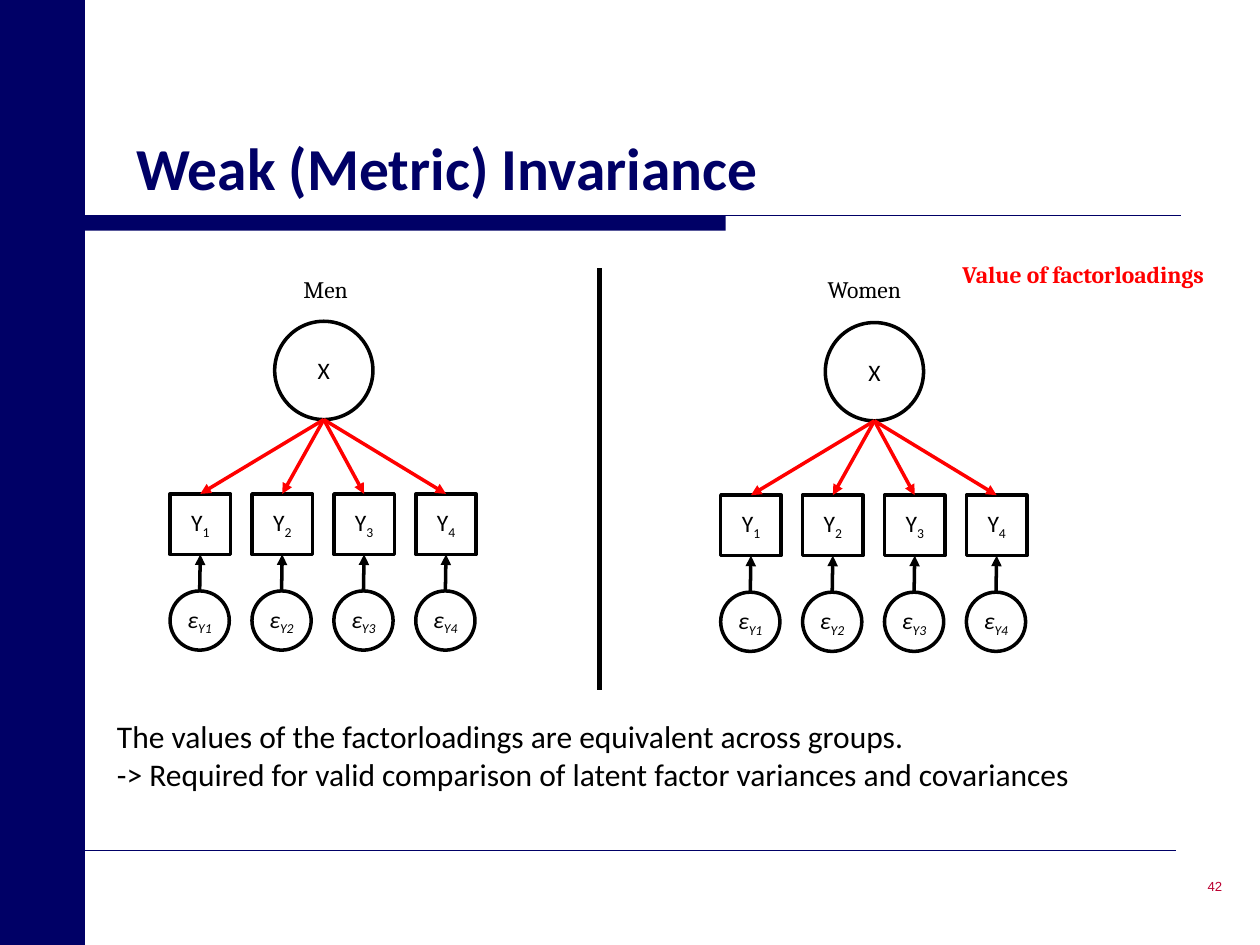
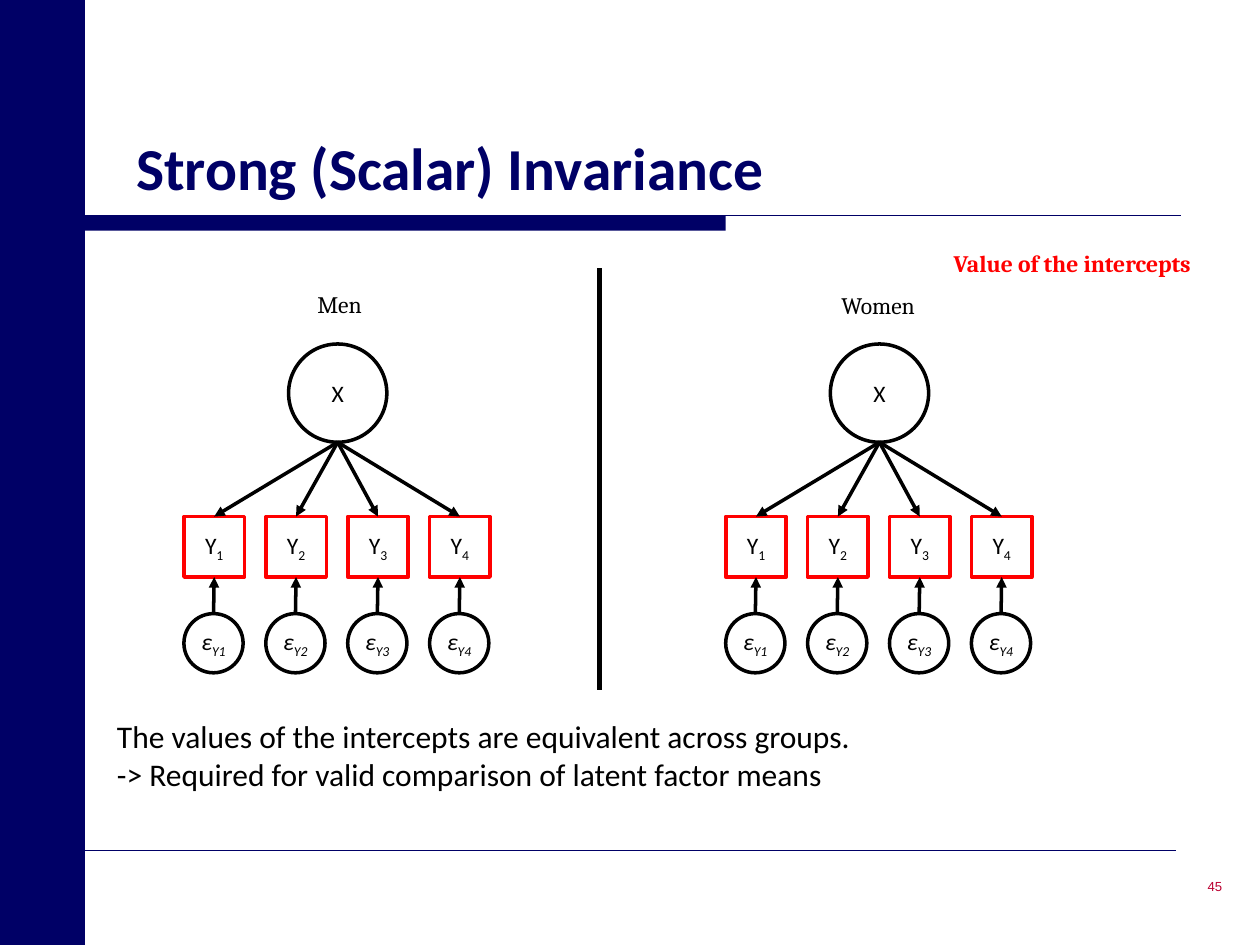
from lxml import etree
from pptx import Presentation
from pptx.dml.color import RGBColor
from pptx.enum.shapes import MSO_CONNECTOR, MSO_SHAPE
from pptx.enum.text import MSO_ANCHOR, MSO_AUTO_SIZE, PP_ALIGN
from pptx.oxml.ns import qn
from pptx.util import Inches, Pt

NAVY = RGBColor(0x00, 0x00, 0x66)
RED = RGBColor(0xFF, 0x00, 0x00)
BLACK = RGBColor(0x00, 0x00, 0x00)
CRIMSON = RGBColor(0xBC, 0x00, 0x31)
RECT, OVAL = MSO_SHAPE.RECTANGLE, MSO_SHAPE.OVAL
STRAIGHT = MSO_CONNECTOR.STRAIGHT
TOP, MIDDLE, BOTTOM = MSO_ANCHOR.TOP, MSO_ANCHOR.MIDDLE, MSO_ANCHOR.BOTTOM
LEFT, CENTER, RIGHT = PP_ALIGN.LEFT, PP_ALIGN.CENTER, PP_ALIGN.RIGHT
NO_FIT = MSO_AUTO_SIZE.NONE

# Diagram sizes and offsets, in inches
STEP, BOX, ERR, FACTOR = 0.65, 0.48, 0.47, 0.78
MID = 1.22          # left edge of the first box to the factor's centre
BOX_DROP, ERR_DROP = 1.37, 2.14


def write(shape, text, size=13.5, face="Calibri", color=BLACK, bold=False,
          italic=False, align=LEFT, anchor=TOP, wrap=True):
    """Fill a shape with text; "_" starts a subscript."""
    frame = shape.text_frame
    frame.auto_size = NO_FIT
    frame.word_wrap = wrap
    frame.vertical_anchor = anchor
    for i, row in enumerate(text.split("\n")):
        para = frame.add_paragraph() if i else frame.paragraphs[0]
        para.alignment = align
        for j, part in enumerate(row.split("_")):
            run = para.add_run()
            run.text = part
            font = run.font
            font.size, font.name = Pt(size), face
            font.bold, font.italic = bold, italic
            font.color.rgb = color
            if j:
                run._r.get_or_add_rPr().set("baseline", "-25000")


def draw(slide, kind, *dims, color=BLACK, width=2, fill=None, arrow=False):
    """Add a line (x1, y1, x2, y2) or a preset shape (x, y, w, h)."""
    dims = [Inches(d) for d in dims]
    if kind is STRAIGHT:  # enum values overlap, so compare identity
        item = slide.shapes.add_connector(kind, *dims)
    else:
        item = slide.shapes.add_shape(kind, *dims)
        item.shadow.inherit = False
        if fill is None:
            item.fill.background()
        else:
            item.fill.solid()
            item.fill.fore_color.rgb = fill
    item.line.color.rgb = color
    item.line.width = Pt(width)
    if kind is STRAIGHT:
        props = item._element.spPr
        if arrow:
            etree.SubElement(props.find(qn("a:ln")), qn("a:tailEnd"), type="triangle")
        etree.SubElement(props, qn("a:effectLst"))
    return item


# Groups: name, name left, name top, diagram left, diagram top
SLIDES = [
    dict(title="Weak (Metric) Invariance", num="42", load=RED, edge=BLACK,
         note=("Value of factorloadings", 7.54, 2.01),
         groups=[("Men", 2.31, 2.13, 1.35, 2.55),
                 ("Women", 6.47, 2.13, 5.72, 2.56)],
         body="The values of the factorloadings are equivalent across groups.\n"
              "-> Required for valid comparison of latent factor variances and covariances"),
    dict(title="Strong (Scalar) Invariance", num="45", load=BLACK, edge=RED,
         note=("Value of the intercepts", 7.47, 1.93),
         groups=[("Men", 2.42, 2.25, 1.46, 2.73),
                 ("Women", 6.58, 2.26, 5.76, 2.73)],
         body="The values of the intercepts are equivalent across groups.\n"
              "-> Required for valid comparison of latent factor means"),
]

prs = Presentation()
prs.slide_width, prs.slide_height = Inches(10), Inches(7.5)

for data in SLIDES:
    slide = prs.slides.add_slide(prs.slide_layouts[5])

    # Bands and rules
    draw(slide, RECT, 0.67, 1.71, 5.09, 0.12, fill=NAVY).line.fill.background()
    draw(slide, STRAIGHT, 0.67, 1.71, 9.37, 1.71, color=NAVY, width=0.75)
    draw(slide, STRAIGHT, 0.67, 6.75, 9.33, 6.75, color=NAVY, width=0.25)
    draw(slide, RECT, 0, 0, 0.67, 7.5, color=NAVY, width=1, fill=NAVY)

    # Title and slide number
    title = slide.shapes.title
    title.left, title.top = Inches(0.98), Inches(0.33)
    title.width, title.height = Inches(7.69), Inches(1.33)
    write(title, data["title"], size=34, color=NAVY, bold=True, anchor=BOTTOM)
    num = slide.shapes.add_textbox(Inches(7.72), Inches(6.74), Inches(2.08), Inches(0.58))
    write(num, data["num"], size=7.5, face="Arial", color=CRIMSON,
          align=RIGHT, anchor=MIDDLE)

    # One factor model per group
    for name, name_x, name_y, left, top in data["groups"]:
        label = slide.shapes.add_textbox(Inches(name_x), Inches(name_y),
                                         Inches(2.3), Inches(0.33))
        write(label, name, face="Cambria")
        mid = left + MID
        box_y, err_y = top + BOX_DROP, top + ERR_DROP
        factor = draw(slide, OVAL, mid - FACTOR / 2, top, FACTOR, FACTOR)
        write(factor, "X", align=CENTER, anchor=MIDDLE, wrap=False)
        for i in range(4):
            x = left + i * STEP
            box = draw(slide, RECT, x, box_y, BOX, BOX, color=data["edge"])
            write(box, f"Y_{i + 1}", align=CENTER, anchor=MIDDLE, wrap=False)
            err = draw(slide, OVAL, x, err_y, ERR, ERR)
            write(err, f"ε_Y{i + 1}", italic=True, align=CENTER,
                  anchor=MIDDLE, wrap=False)
            draw(slide, STRAIGHT, x + ERR / 2, err_y, x + BOX / 2, box_y + BOX,
                 arrow=True)
            draw(slide, STRAIGHT, mid, top + FACTOR, x + BOX / 2, box_y,
                 color=data["load"], arrow=True)

    # Divider, red note and conclusion
    draw(slide, STRAIGHT, 4.76, 2.13, 4.76, 5.48, width=3)
    text, x, y = data["note"]
    note = slide.shapes.add_textbox(Inches(x), Inches(y), Inches(2.49), Inches(0.33))
    write(note, text, face="Cambria", color=RED, bold=True)
    body = slide.shapes.add_textbox(Inches(0.83), Inches(5.64), Inches(8.62), Inches(0.71))
    write(body, data["body"], size=18)

prs.save("out.pptx")
